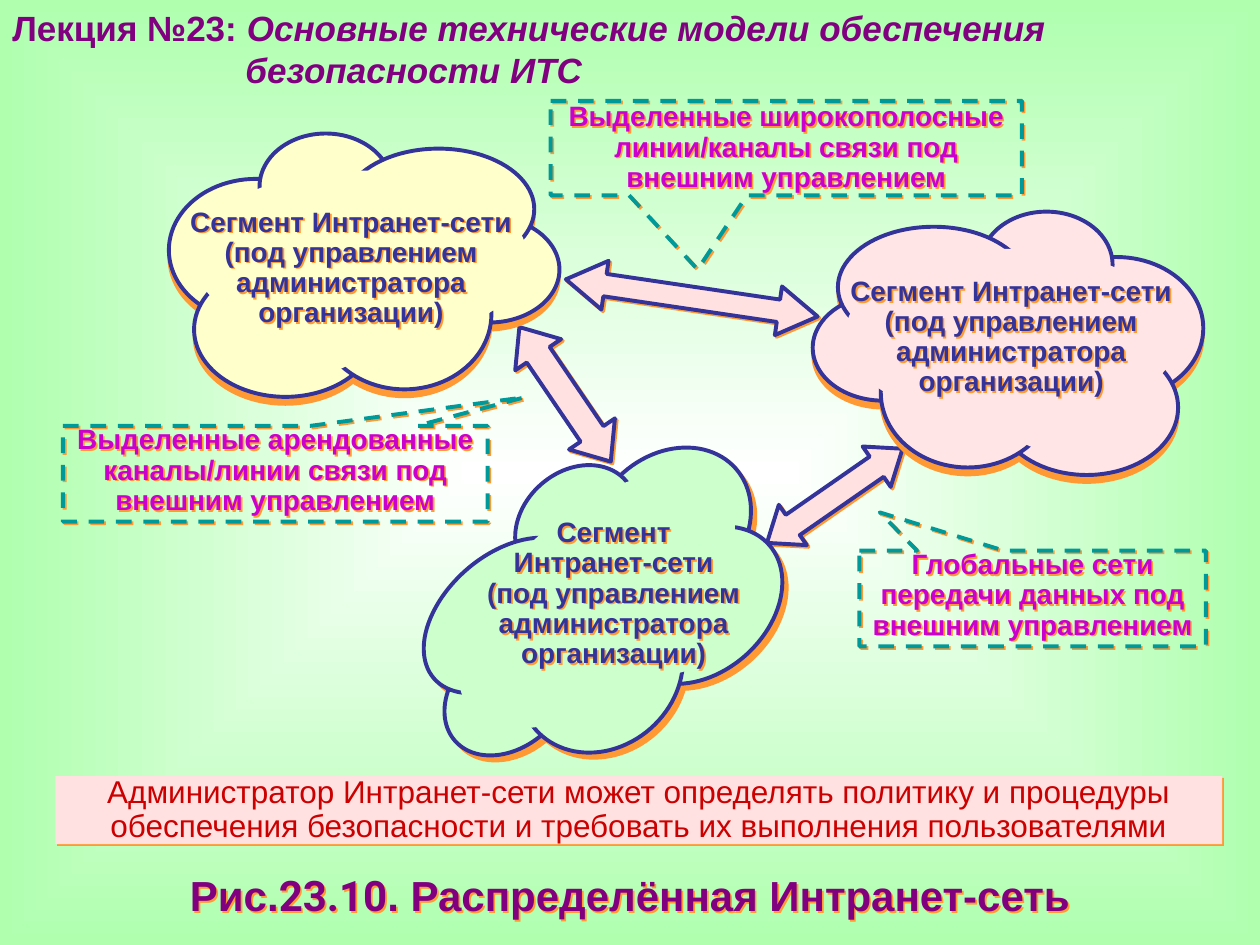
"""Build a lecture slide showing a distributed intranet of three cloud segments."""
from math import cos, radians, sin

from lxml import etree
from pptx import Presentation
from pptx.dml.color import RGBColor
from pptx.enum.dml import MSO_LINE_DASH_STYLE as Dash
from pptx.enum.shapes import MSO_SHAPE as Shape
from pptx.enum.text import MSO_ANCHOR as Anchor, PP_ALIGN as Align
from pptx.oxml import parse_xml
from pptx.util import Inches, Pt

NS = "http://schemas.openxmlformats.org/drawingml/2006/main"
COLORS = {
    "center": "FFFFFF", "edge": "AFFFAF", "purple": "800080", "navy": "333399",
    "pink": "FFE1E1", "teal": "009999", "magenta": "CC00CC", "red": "CC0000",
    "orange": "FF9933", "gray": "C0C0C0",
    "cream": "FFFFCC", "rose": "FFE5E5", "mint": "CCFFCC",
}

TITLE = [
    [("Лекция №23: ", {}), ("Основные технические модели обеспечения", {"italic": True})],
    [("безопасности ИТС", {"italic": True})],
]
CAPTION = [[("Рис.", {}), ("23.10", {"name": "Roboto"}), (". Распределённая Интранет-сеть", {})]]
SUMMARY = ("Администратор Интранет-сети может определять политику и процедуры "
           "обеспечения безопасности и требовать их выполнения пользователями")
ADMIN = "(под управлением администратора организации)"

ARROWS = [
    ((4.48, 2.17, 2.02, 0.39), 8.4, (0.46, 0.806)),
    ((5.97, 3.74, 1.31, 0.39), 325.2, (0.5, 0.64)),
    ((3.84, 2.91, 1.29, 0.44), 55.8, (0.5, 0.602)),
]
CALLOUTS = [
    ((4.37, 0.8, 3.74, 0.75), (-0.188, 1.285), Anchor.MIDDLE,
     "Выделенные широкополосные линии/каналы связи под внешним управлением"),
    ((6.82, 4.37, 2.75, 0.76), (-0.441, -0.899), Anchor.TOP,
     "Глобальные сети передачи данных под внешним управлением"),
    ((0.5, 3.38, 3.37, 0.76), (0.587, -0.798), Anchor.TOP,
     "Выделенные арендованные каналы/линии связи под внешним управлением"),
]

CLOUD_CENTER = (2.89, 2.13)
LOBES = [
    (1.34, 1.42, 1.38, 1.13), (1.54, 2.08, 1.45, 1.07), (3.32, 1.72, 1.12, 0.84),
    (2.06, 1.06, 1.05, 0.84), (2.72, 1.18, 1.52, 0.96), (2.52, 1.9, 1.38, 1.19),
]
CORES = [(1.54, 1.36, 2.64, 1.37), (1.8, 1.6, 1.32, 1.37)]
GRAY_LOBE = 3
SHADOW_DROP = 0.06
CLOUDS = [
    {"center": CLOUD_CENTER, "mirror": 1, "turn": 0, "color": "cream",
     "label": (1.49, 1.65, 2.59, 0.96), "text": ["Сегмент Интранет-сети", ADMIN]},
    {"center": (8, 2.75), "mirror": -1, "turn": 0, "color": "rose",
     "label": (6.73, 2.2, 2.59, 0.96), "text": ["Сегмент Интранет-сети", ADMIN]},
    {"center": (4.77, 4.85), "mirror": -1, "turn": 318.8, "color": "mint",
     "label": (3.8, 4.11, 2.14, 1.21), "text": ["Сегмент", "Интранет-сети", ADMIN]},
]


def rgb(name):
    return RGBColor.from_string(COLORS[name])


def set_background(page):
    props = page.background.fill
    props.solid()
    holder = page._element.cSld.bg.bgPr
    gradient = parse_xml(
        f'<a:gradFill xmlns:a="{NS}" rotWithShape="1"><a:gsLst>'
        f'<a:gs pos="0"><a:srgbClr val="{COLORS["center"]}"/></a:gs>'
        f'<a:gs pos="100000"><a:srgbClr val="{COLORS["edge"]}"/></a:gs></a:gsLst>'
        '<a:path path="shape"><a:fillToRect l="50000" t="50000" r="50000" b="50000"/>'
        '</a:path></a:gradFill>')
    holder.replace(holder[0], gradient)


def add_shadow(shape):
    shape.shadow.inherit = False
    effects = shape._element.spPr.find(f"{{{NS}}}effectLst")
    shadow = etree.SubElement(effects, f"{{{NS}}}outerShdw", dist=str(Pt(1.4)),
                              dir="2700000", algn="ctr", rotWithShape="0")
    etree.SubElement(shadow, f"{{{NS}}}srgbClr", val=COLORS["orange"])


def add_figure(page, kind, place, fill=None, line=None, width=2.25, turn=0, adjust=()):
    figure = page.shapes.add_shape(kind, *map(Inches, place))
    figure.shadow.inherit = False
    figure.rotation = turn
    for index, value in enumerate(adjust):
        figure.adjustments[index] = value
    if fill:
        figure.fill.solid()
        figure.fill.fore_color.rgb = rgb(fill)
    else:
        figure.fill.background()
    if line:
        figure.line.color.rgb = rgb(line)
        figure.line.width = Pt(width)
    else:
        figure.line.fill.background()
    return figure


def write(box, paragraphs, size=16, color="navy", bold=True, align=Align.CENTER,
          anchor=Anchor.MIDDLE, spacing=0.9, inset=(0, 0)):
    frame = box.text_frame
    frame.word_wrap = True
    frame.vertical_anchor = anchor
    frame.margin_left = frame.margin_right = Inches(inset[0])
    frame.margin_top = frame.margin_bottom = Inches(inset[1])
    for index, pieces in enumerate(paragraphs):
        para = frame.add_paragraph() if index else frame.paragraphs[0]
        para.alignment = align
        para.line_spacing = spacing
        for text, extra in [(pieces, {})] if isinstance(pieces, str) else pieces:
            span = para.add_run()
            span.text = text
            font = span.font
            font.name = extra.get("name", "Arial")
            font.size = Pt(size)
            font.bold = bold
            font.italic = extra.get("italic", False)
            font.color.rgb = rgb(color)


def add_text(page, place, paragraphs, shadow=True, **style):
    box = page.shapes.add_textbox(*map(Inches, place))
    if shadow:
        add_shadow(box)
    write(box, paragraphs, **style)
    return box


def place_lobe(cloud, lobe, drop=0):
    left, top, width, height = lobe
    across = cloud["mirror"] * (left + width / 2 - CLOUD_CENTER[0])
    down = top + height / 2 - CLOUD_CENTER[1] + drop
    angle = radians(cloud["turn"])
    middle_x = cloud["center"][0] + across * cos(angle) - down * sin(angle)
    middle_y = cloud["center"][1] + across * sin(angle) + down * cos(angle)
    return middle_x - width / 2, middle_y - height / 2, width, height


def add_cloud(page, cloud):
    color, turn = cloud["color"], cloud["turn"]
    shades = ["gray" if i == GRAY_LOBE else "orange" for i in range(len(LOBES))]
    layers = [(lobe, shade, shade, 1.5, SHADOW_DROP) for lobe, shade in zip(LOBES, shades)]
    layers += [(lobe, color, "navy", 2.25, 0) for lobe in LOBES]
    layers += [(core, color, color, 0.75, 0) for core in CORES]
    for lobe, fill, line, width, drop in layers:
        add_figure(page, Shape.OVAL, place_lobe(cloud, lobe, drop), fill, line, width, turn)
    add_text(page, cloud["label"], cloud["text"])


def main():
    deck = Presentation()
    deck.slide_width, deck.slide_height = Inches(10), Inches(7.5)
    page = deck.slides.add_slide(deck.slide_layouts[6])
    set_background(page)

    title = add_text(page, (0, 0, 10, 0.77), TITLE, shadow=False, size=20, color="purple",
                     align=Align.LEFT, anchor=Anchor.TOP, spacing=1, inset=(0.1, 0.05))
    title.text_frame.paragraphs[1]._p.get_or_add_pPr().set("marL", str(Inches(1.85)))

    for place, turn, adjust in ARROWS:
        add_shadow(add_figure(page, Shape.LEFT_RIGHT_ARROW, place, "pink", "navy",
                              turn=turn, adjust=adjust))
    for place, adjust, anchor, text in CALLOUTS:
        callout = add_figure(page, Shape.RECTANGULAR_CALLOUT, place, line="teal", adjust=adjust)
        callout.line.dash_style = Dash.DASH
        add_shadow(callout)
        write(callout, [text], color="magenta", anchor=anchor)

    summary = add_figure(page, Shape.RECTANGLE, (0.44, 6.16, 9.26, 0.54), "pink")
    add_shadow(summary)
    write(summary, [SUMMARY], size=18, color="red", bold=False, anchor=Anchor.TOP)

    for cloud in CLOUDS:
        add_cloud(page, cloud)
    add_text(page, (0, 6.9, 10, 0.4), CAPTION, size=24, color="purple", spacing=1)
    deck.save("out.pptx")


if __name__ == "__main__":
    main()
